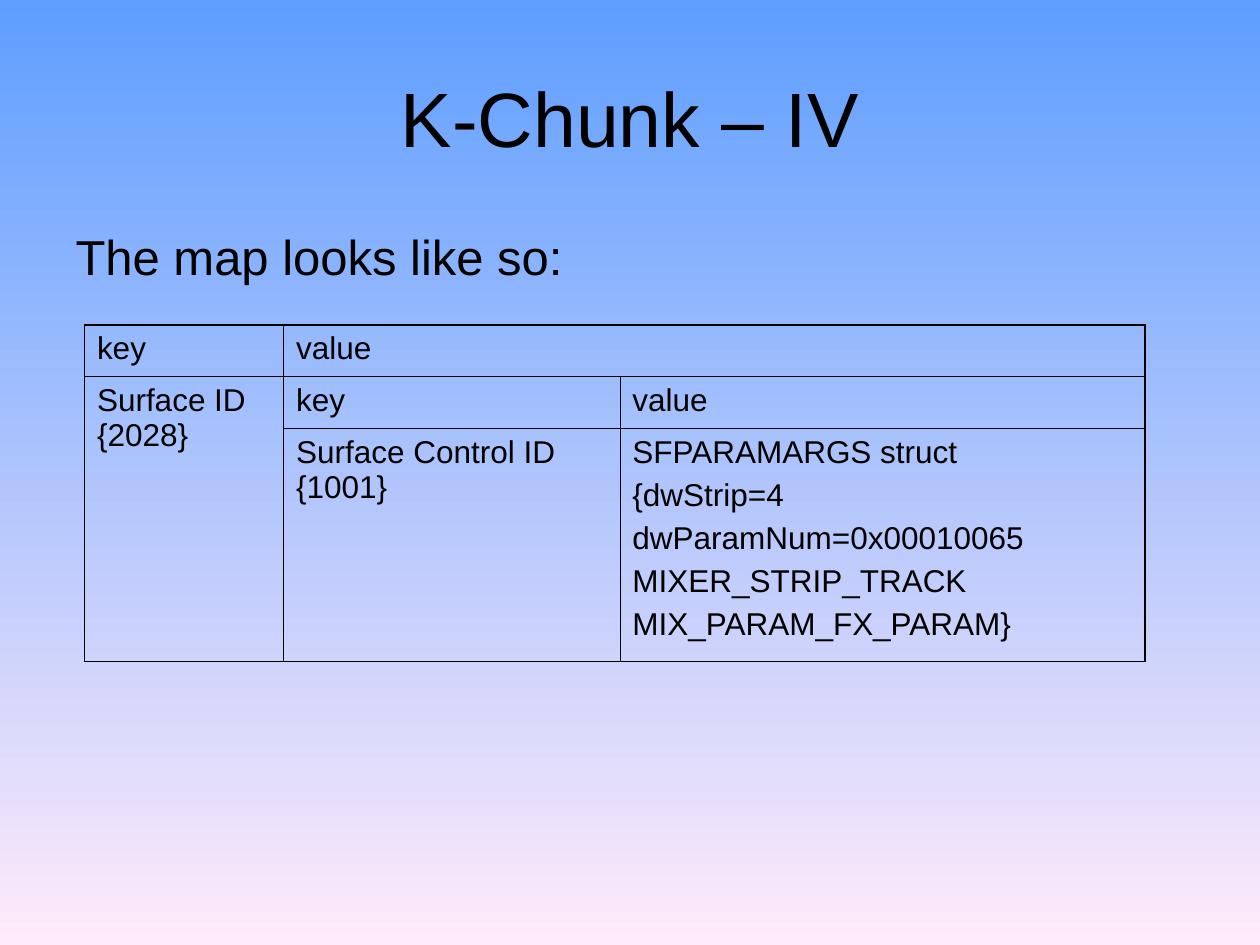
from lxml.etree import SubElement
from pptx import Presentation
from pptx.dml.color import RGBColor
from pptx.enum.text import MSO_ANCHOR, MSO_AUTO_SIZE, PP_ALIGN
from pptx.oxml.ns import qn
from pptx.util import Inches, Pt

BLACK = RGBColor(0x00, 0x00, 0x00)
BLUE = RGBColor(0x5E, 0x9E, 0xFF)
PINK = RGBColor(0xFF, 0xEB, 0xFA)
FONT = "Arial"
THICK, THIN = Pt(1.08), Pt(0.45)

COLS = (1.58, 2.67, 4.17)
ROWS = (0.41, 0.41, 1.85)
MERGES = (((0, 1), (0, 2)), ((1, 0), (2, 0)))
STRUCT = """SFPARAMARGS struct
{dwStrip=4
dwParamNum=0x00010065
MIXER_STRIP_TRACK
MIX_PARAM_FX_PARAM}"""
CELLS = {
    (0, 0): "key",
    (0, 1): "value",
    (1, 0): "Surface ID {2028}",
    (1, 1): "key",
    (1, 2): "value",
    (2, 1): "Surface Control ID {1001}",
    (2, 2): STRUCT,
}


def style(frame, size, before=0):
    """Set font and spacing on every paragraph of a text frame."""
    for para in frame.paragraphs:
        para.space_before = Pt(before)
        para.font.name = FONT
        para.font.size = Pt(size)
        para.font.color.rgb = BLACK


def paint(slide):
    """Fill the background from blue at the top to pink at the bottom."""
    fill = slide.background.fill
    fill.gradient()
    fill.gradient_angle = 270
    for stop, color in zip(fill.gradient_stops, (BLUE, PINK)):
        stop.color.rgb = color


def place(shape, box, text, size, before=0):
    """Move a placeholder to its box and give it formatted text."""
    shape.left, shape.top, shape.width, shape.height = map(Inches, box)
    frame = shape.text_frame
    frame.text = text
    frame.auto_size = MSO_AUTO_SIZE.NONE
    style(frame, size, before)
    return frame


def add_title(slide, box):
    frame = place(slide.shapes.title, box, "K-Chunk – IV", 44)
    frame.vertical_anchor = MSO_ANCHOR.MIDDLE
    frame.paragraphs[0].alignment = PP_ALIGN.CENTER


def add_body(slide, box):
    frame = place(slide.placeholders[1], box, "The map looks like so:", 28, 7)
    props = frame.paragraphs[0]._p.get_or_add_pPr()
    props.set("marL", str(Inches(0.38)))
    props.set("indent", str(Inches(-0.38)))
    # The bullet setting has to come after the spacing and before the font.
    props.find(qn("a:spcBef")).addnext(props.makeelement(qn("a:buNone")))


def add_edge(cell, side, width):
    line = SubElement(cell._tc.get_or_add_tcPr(), qn("a:ln" + side), w=str(width))
    fill = SubElement(line, qn("a:solidFill"))
    SubElement(fill, qn("a:srgbClr"), val=str(BLACK))


def add_map(slide, left, top):
    """Draw the key and value table, with thick lines on its outer edge."""
    size = Inches(sum(COLS)), Inches(sum(ROWS))
    frame = slide.shapes.add_table(
        len(ROWS), len(COLS), Inches(left), Inches(top), *size)
    table = frame.table
    table.first_row = table.horz_banding = False
    for col, width in zip(table.columns, COLS):
        col.width = Inches(width)
    for row, height in zip(table.rows, ROWS):
        row.height = Inches(height)
    for start, end in MERGES:
        table.cell(*start).merge(table.cell(*end))

    for (row, col), text in CELLS.items():
        cell = table.cell(row, col)
        cell.text = text
        style(cell.text_frame, 18, 4.5)
        outer = {
            "L": col == 0,
            "R": col + cell.span_width == len(COLS),
            "T": row == 0,
            "B": row + cell.span_height == len(ROWS),
        }
        for side, edge in outer.items():
            add_edge(cell, side, THICK if edge else THIN)
        cell.fill.background()


def main():
    deck = Presentation()
    deck.slide_width, deck.slide_height = Inches(10), Inches(7.5)
    slide = deck.slides.add_slide(deck.slide_layouts[1])
    paint(slide)
    add_title(slide, (0.5, 0.3, 9, 1.25))
    add_body(slide, (0.5, 1.75, 4.42, 0.75))
    add_map(slide, 0.67, 2.58)
    deck.save("out.pptx")


if __name__ == "__main__":
    main()
